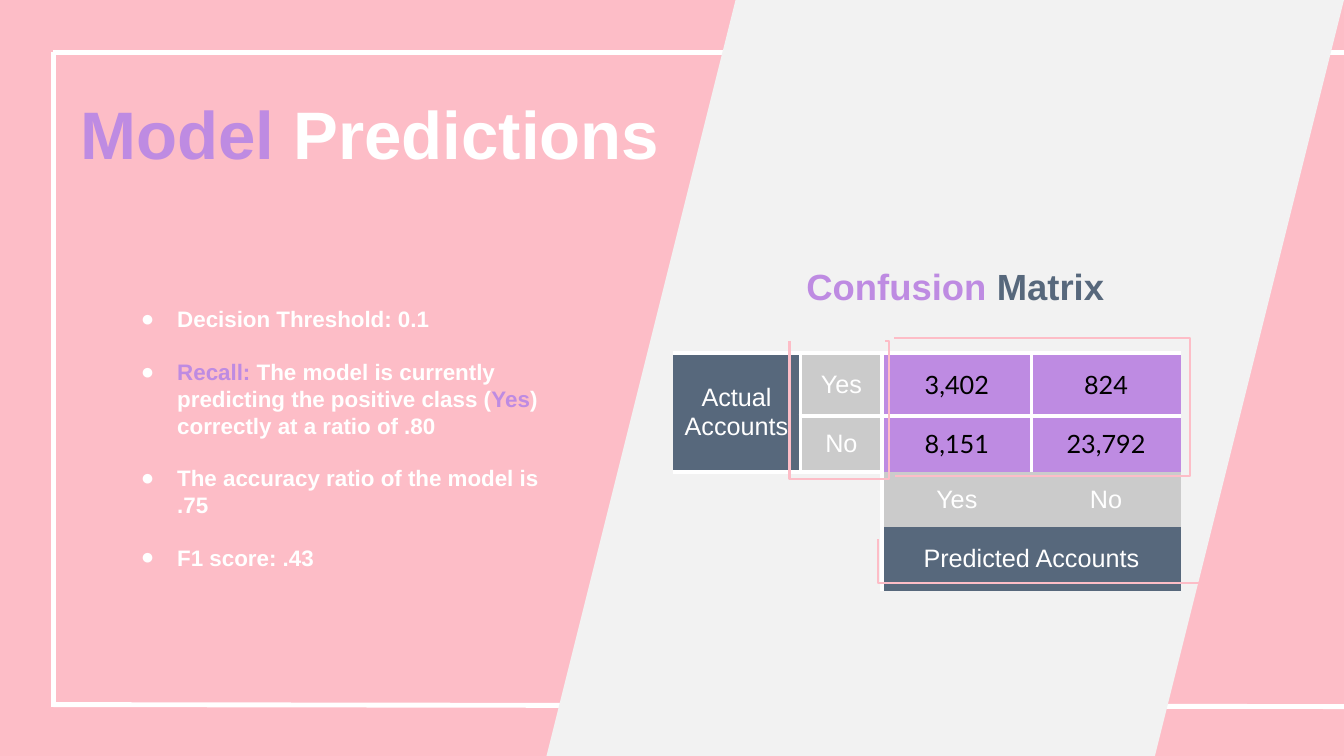
from lxml import etree
from pptx import Presentation
from pptx.dml.color import RGBColor
from pptx.enum import shapes, text
from pptx.oxml import ns
from pptx.util import Inches, Pt

PINK = RGBColor(0xFD, 0xBD, 0xC7)
PURPLE = RGBColor(0xBE, 0x8B, 0xE2)
SLATE = RGBColor(0x57, 0x68, 0x7C)
GREY = RGBColor(0xCB, 0xCB, 0xCB)
PALE = RGBColor(0xF2, 0xF2, 0xF2)
WHITE = RGBColor(0xFF, 0xFF, 0xFF)
BLACK = RGBColor(0, 0, 0)


def write(para, parts, size, bold=True, face="Arial"):
    """Fill a paragraph with (words, colour) runs."""
    for words, color in parts:
        run = para.add_run()
        run.text = words
        run.font.size = Pt(size)
        run.font.bold = bold
        run.font.name = face
        run.font.color.rgb = color


def edge(cell, sides):
    """Draw white borders on the given sides, in L, R, T, B order."""
    props = cell._tc.get_or_add_tcPr()
    for i, side in enumerate(sides):
        line = etree.Element(ns.qn("a:ln" + side), w=str(Pt(3)))
        fill = etree.SubElement(line, ns.qn("a:solidFill"))
        etree.SubElement(fill, ns.qn("a:srgbClr"), val=str(WHITE))
        props.insert(i, line)


deck = Presentation()
deck.slide_width, deck.slide_height = Inches(13.33), Inches(7.5)
slide = deck.slides.add_slide(deck.slide_layouts[5])
slide.background.fill.solid()
slide.background.fill.fore_color.rgb = PINK
items = slide.shapes

# White frame
for x1, y1, x2, y2 in [(0.53, 0.52, 13.33, 0.52), (0.53, 7.01, 0.53, 0.52),
                       (0.53, 6.99, 13.33, 7.01)]:
    rule = items.add_connector(shapes.MSO_CONNECTOR.STRAIGHT, Inches(x1),
                               Inches(y1), Inches(x2), Inches(y2))
    rule.line.color.rgb = WHITE
    rule.line.width = Pt(3.5)
    etree.SubElement(rule._element.spPr, ns.qn("a:effectLst"))

# Slanted panel
panel = items.add_shape(shapes.MSO_SHAPE.PARALLELOGRAM, Inches(5.42), 0,
                        Inches(7.91), Inches(7.5))
panel.adjustments[0] = 0.25
panel.shadow.inherit = False
panel.fill.solid()
panel.fill.fore_color.rgb = PALE
panel.line.fill.background()

# Title, brought in front of the panel
title = items.title
title.left, title.top = Inches(0.7), Inches(0.67)
title.width, title.height = Inches(8.99), Inches(1.3)
frame = title.text_frame
frame.auto_size = text.MSO_AUTO_SIZE.NONE
frame.vertical_anchor = text.MSO_ANCHOR.MIDDLE
frame.paragraphs[0].alignment = text.PP_ALIGN.LEFT
write(frame.paragraphs[0], [("Model ", PURPLE), ("Predictions", WHITE)], 48)
panel._element.addnext(title._element)

# Findings
notes = [
    [("Decision Threshold: 0.1", WHITE)],
    [("Recall:", PURPLE),
     (" The model is currently predicting the positive class (", WHITE),
     ("Yes", PURPLE), (") correctly at a ratio of .80", WHITE)],
    [("The accuracy ratio of the model is .75", WHITE)],
    [("F1 score: .43", WHITE)],
]
box = items.add_textbox(Inches(1.16), Inches(2.98), Inches(4.33), Inches(2.65))
frame = box.text_frame
frame.word_wrap = True
for i, parts in enumerate(notes):
    para = frame.add_paragraph() if i else frame.paragraphs[0]
    para.space_before = Pt(18.4 if i else 0)
    props = para._p.get_or_add_pPr()
    props.set("marL", str(Inches(0.5)))
    props.set("indent", str(Inches(-0.36)))
    tint = etree.SubElement(props, ns.qn("a:buClr"))
    etree.SubElement(tint, ns.qn("a:srgbClr"), val=str(WHITE))
    etree.SubElement(props, ns.qn("a:buFont"), typeface="Arial")
    etree.SubElement(props, ns.qn("a:buChar"), char="●")
    write(para, parts, 16)

# Confusion matrix
wides = [1.27, 0.81, 1.48, 1.48]
highs = [0.63, 0.63, 0.55, 0.55, 0.63]
grid = items.add_table(5, 4, Inches(6.67), Inches(2.87), Inches(sum(wides)),
                       Inches(sum(highs))).table
grid.first_row = grid.horz_banding = False
style = grid._tbl.tblPr.find(ns.qn("a:tableStyleId"))
style.text = "{2D5ABB26-0587-4C30-8999-92F81FD0307C}"  # no style, no grid
for col, wide in zip(grid.columns, wides):
    col.width = Inches(wide)
for row, high in zip(grid.rows, highs):
    row.height = Inches(high)

for r1, c1, r2, c2 in [(0, 2, 0, 3), (1, 0, 2, 0), (3, 0, 3, 1),
                       (4, 0, 4, 1), (4, 2, 4, 3)]:
    grid.cell(r1, c1).merge(grid.cell(r2, c2))

values = [
    ["", "", "", ""],
    ["Actual Accounts", "Yes", "3,402", "824"],
    ["", "No", "8,151", "23,792"],
    ["", "", "Yes", "No"],
    ["", "", "Predicted Accounts", ""],
]
for r, row in enumerate(values):
    for c, words in enumerate(row):
        cell = grid.cell(r, c)
        sides = ""
        if r and (c == 2 or c == 1 and r < 3):
            sides += "L"
        if r and (c == 1 or c == 0 and r < 3):
            sides += "R"
        if r == 1:
            sides += "T"
        if r == 0:
            sides += "B"
        edge(cell, sides)
        if not words:
            cell.fill.background()
            continue
        count = words[0].isdigit()
        label = words in ("Yes", "No")
        cell.fill.solid()
        cell.fill.fore_color.rgb = PURPLE if count else GREY if label else SLATE
        cell.vertical_anchor = text.MSO_ANCHOR.MIDDLE
        cell.margin_left = cell.margin_right = Inches(0.1)
        cell.margin_top = cell.margin_bottom = Inches(0.1)
        para = cell.text_frame.paragraphs[0]
        para.alignment = text.PP_ALIGN.CENTER
        write(para, [(words, BLACK if count else WHITE)], 18, False,
              "Lato" if count else "Arial")

# Pink outlines around the matrix
for points in [
    [(7.83, 3.38), (7.83, 4.75), (8.82, 4.75), (8.82, 3.38), (8.78, 3.38)],
    [(8.88, 4.72), (11.8, 4.72), (11.8, 3.35), (8.87, 3.35)],
    [(11.96, 5.78), (8.71, 5.78), (8.71, 5.35)],
]:
    spots = [(Inches(x), Inches(y)) for x, y in points]
    pen = items.build_freeform(*spots[0])
    pen.add_line_segments(spots[1:], close=False)
    trace = pen.convert_to_shape()
    trace.shadow.inherit = False
    trace.fill.background()
    trace.line.color.rgb = PINK
    trace.line.width = Pt(1.5)

# Matrix heading
head = items.add_textbox(Inches(7.78), Inches(2.52), Inches(3.39), Inches(0.54))
frame = head.text_frame
frame.word_wrap = True
frame.margin_top = frame.margin_bottom = Inches(0.1)
frame.paragraphs[0].alignment = text.PP_ALIGN.CENTER
write(frame.paragraphs[0], [("Confusion ", PURPLE), ("Matrix", SLATE)], 26)

deck.save("out.pptx")
